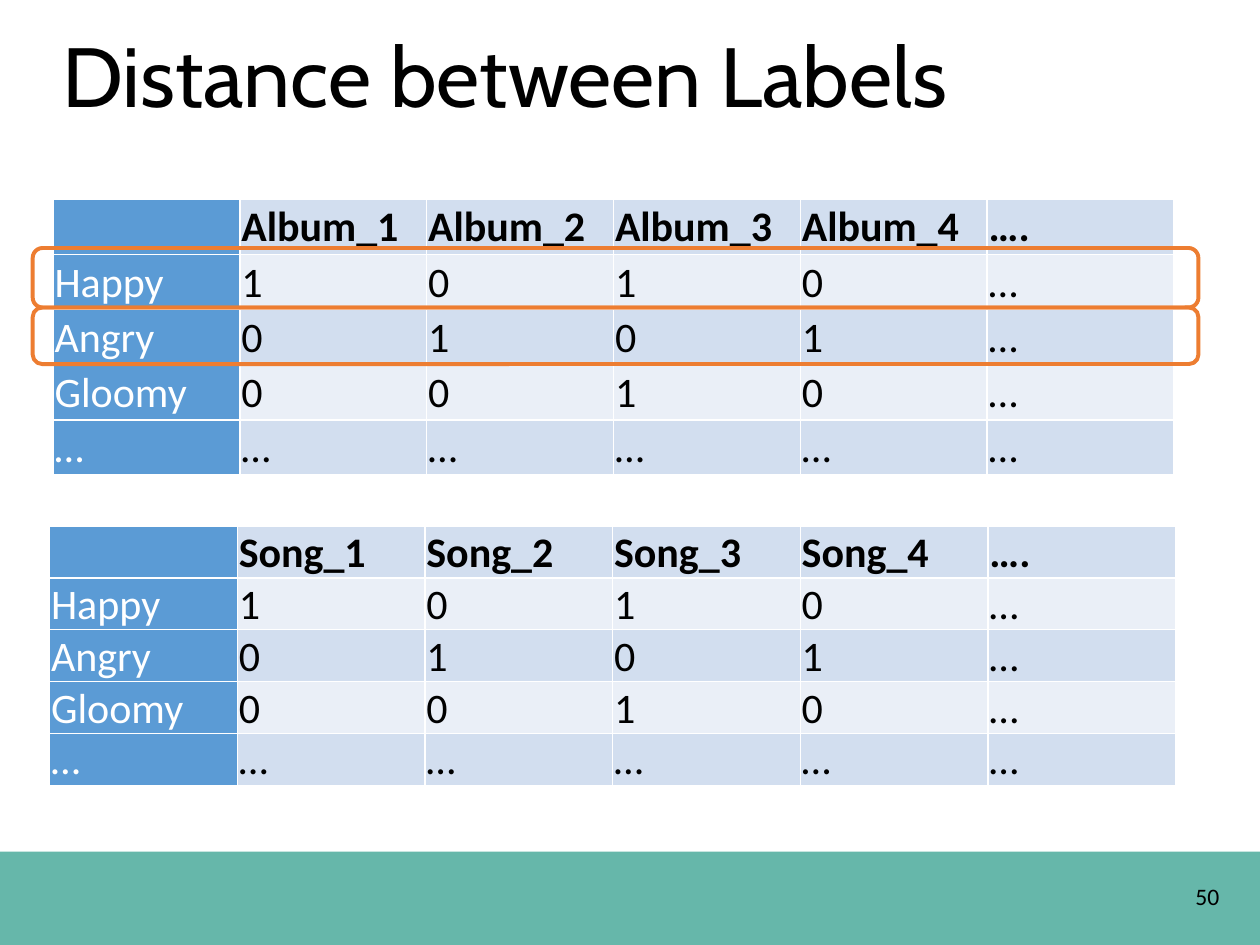
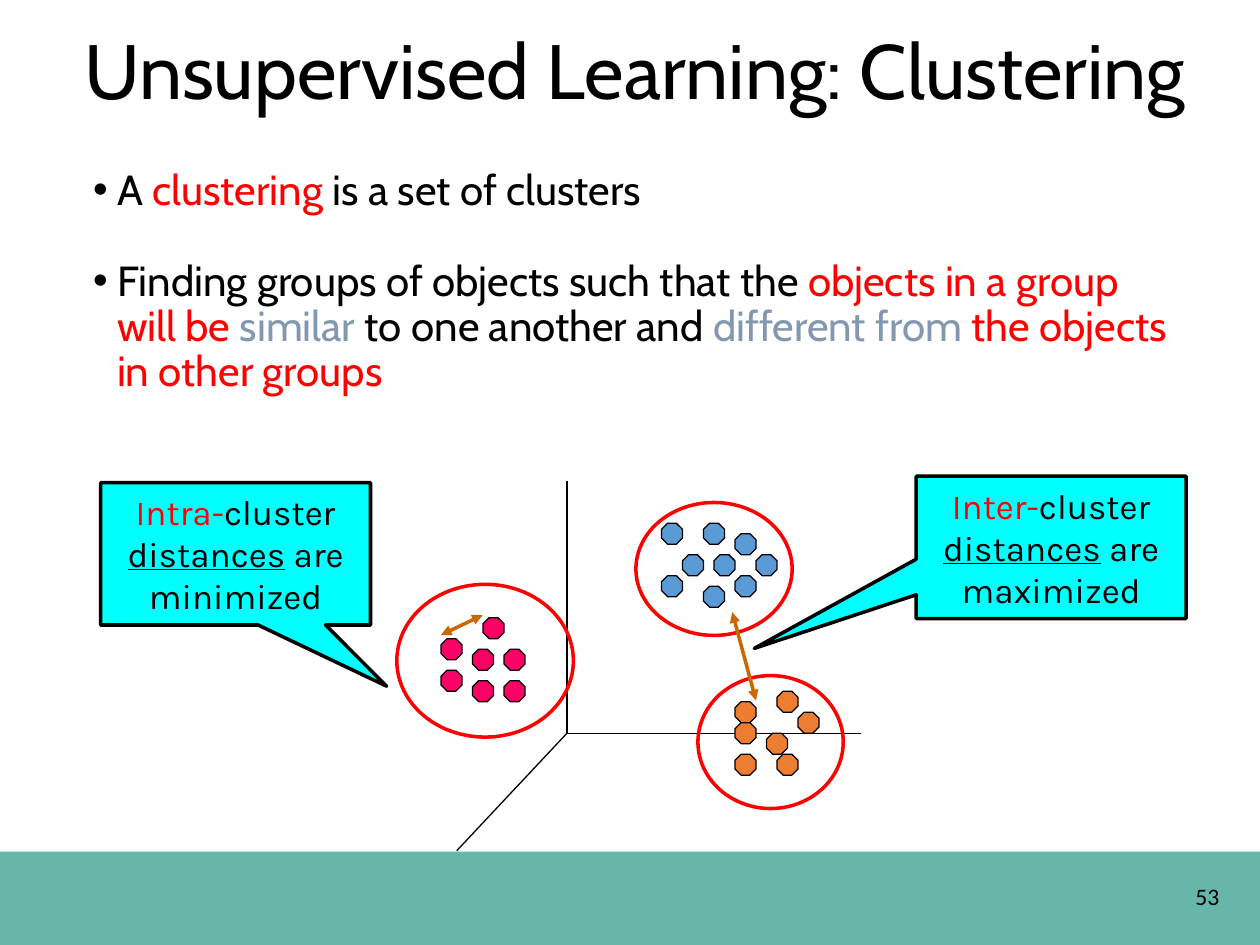
from dataclasses import dataclass
from itertools import product

from lxml.etree import SubElement
from pptx import Presentation
from pptx.dml.color import RGBColor
from pptx.enum.shapes import MSO_CONNECTOR, MSO_SHAPE as SHAPE
from pptx.enum.text import MSO_ANCHOR as ANCHOR, MSO_AUTO_SIZE, PP_ALIGN as ALIGN
from pptx.oxml.ns import qn
from pptx.util import Cm, Pt

COLORS = {
    "black": "000000", "white": "FFFFFF", "band": "319F8D",
    "header": "5B9BD5", "row_dark": "D2DEEF", "row_light": "EAEFF7",
    "orange": "ED7D31", "pink": "FF0066", "blue": "5B9BD5",
    "red": "FF0000", "slate": "8497B0", "arrow": "CC6600", "cyan": "00FFFF",
}
WIDTH, HEIGHT, BAND_TOP = 25.4, 19.05, 17.17
TITLE_FONT, TABLE_FONT, CALLOUT_FONT = "Cabin", "Calibri", "Karla"

# The scatter plot lies on a grid of twelfths of an inch around its axis origin.
ORIGIN_X, ORIGIN_Y, STEP = 11.43, 14.78, 2.54 / 12


@dataclass
class Box:
    x: float
    y: float
    w: float
    h: float

    def lengths(self) -> tuple:
        return Cm(self.x), Cm(self.y), Cm(self.w), Cm(self.h)


@dataclass
class LabelTable:
    box: Box
    item: str


@dataclass
class Cluster:
    color: str
    ring: Box
    dots: list


@dataclass
class Callout:
    box: Box
    tip: tuple
    prefix: str
    goal: str


LABEL_ROWS = [
    ("Happy", "1", "0", "1", "0", "…"),
    ("Angry", "0", "1", "0", "1", "…"),
    ("Gloomy", "0", "0", "1", "0", "…"),
    ("…",) * 6,
]
LABEL_TABLES = [
    LabelTable(Box(1.07, 4.02, 22.6, 5.56), "Album"),
    LabelTable(Box(1, 10.6, 22.7, 5.21), "Song"),
]
HIGHLIGHTS = [Box(0.66, 5, 23.5, 1.2), Box(0.66, 6.2, 23.5, 1.14)]

CLUSTERS = [
    Cluster("blue", Box(12.82, 10.13, 3.15, 2.68),
            [(11, -17), (14, -17), (13, -20), (13, -14), (18, -17),
             (16, -19), (9, -20), (16, -15), (9, -15)]),
    Cluster("pink", Box(8, 11.78, 3.56, 3.08),
            [(-12, -9), (-9, -8), (-9, -5), (-6, -8), (-8, -11),
             (-6, -5), (-12, -6)]),
    Cluster("orange", Box(14.07, 13.62, 2.93, 2.68),
            [(16, -3), (22, -2), (19, 0), (16, 2), (20, 2), (16, -1), (20, -4)]),
]
AXIS_ENDS = [(0, -24), (28, 0), (-10.5, 11.2)]
DISTANCE_ARROWS = [((15.24, 14.12), (14.76, 12.34)), ((8.89, 12.8), (9.73, 12.4))]
CALLOUTS = [
    Callout(Box(18.47, 9.6, 5.44, 2.87), (-1.1, 0.71), "Inter-", "maximized"),
    Callout(Box(2.03, 9.73, 5.44, 2.87), (0.56, 0.93), "Intra-", "minimized"),
]
BULLETS = [
    [("A ", "black"), ("clustering", "red"), (" is a set of clusters", "black")],
    [("Finding groups of objects such that the ", "black"),
     ("objects in a group will be ", "red"), ("similar ", "slate"),
     ("to one another and ", "black"), ("different from ", "slate"),
     ("the objects in other groups", "red")],
]


def rgb(name: str) -> RGBColor:
    return RGBColor.from_string(COLORS[name])


def add_run(p, text: str, *, font: str, size: float, color: str = "black",
            bold: bool = False, underline: bool = False) -> None:
    r = p.add_run()
    r.text = text
    r.font.name, r.font.size = font, Pt(size)
    r.font.bold, r.font.underline = bold, underline
    r.font.color.rgb = rgb(color)


def add_shape(s, kind, box: Box, fill: str = "", line: str = "", weight: float = 0):
    sp = s.shapes.add_shape(kind, *box.lengths())
    sp.shadow.inherit = False
    if fill:
        sp.fill.solid()
        sp.fill.fore_color.rgb = rgb(fill)
    else:
        sp.fill.background()
    if line:
        sp.line.color.rgb = rgb(line)
        sp.line.width = Pt(weight)
    else:
        sp.line.fill.background()
    return sp


def add_line(s, start: tuple, end: tuple, color: str, weight: float,
             arrows: bool = False) -> None:
    ends = [Cm(v) for v in (*start, *end)]
    cx = s.shapes.add_connector(MSO_CONNECTOR.STRAIGHT, *ends)
    cx.line.color.rgb = rgb(color)
    cx.line.width = Pt(weight)
    if arrows:
        for tag in ("a:headEnd", "a:tailEnd"):
            SubElement(cx.line._get_or_add_ln(), qn(tag), type="triangle")
    SubElement(cx._element.spPr, qn("a:effectLst"))


def add_text_box(s, box: Box):
    tf = s.shapes.add_textbox(*box.lengths()).text_frame
    tf.word_wrap = True
    return tf


def add_slide(prs, title: str, title_box: Box, title_size: float, number: int):
    """Add a slide with its title, bottom band and page number."""
    s = prs.slides.add_slide(prs.slide_layouts[5])
    sp = s.shapes.title
    sp.left, sp.top, sp.width, sp.height = title_box.lengths()
    tf = sp.text_frame
    tf.auto_size = MSO_AUTO_SIZE.NONE
    tf.vertical_anchor = ANCHOR.MIDDLE
    p = tf.paragraphs[0]
    p.alignment, p.line_spacing = ALIGN.LEFT, 0.9
    add_run(p, title, font=TITLE_FONT, size=title_size)

    band = add_shape(s, SHAPE.RECTANGLE,
                     Box(0, BAND_TOP, WIDTH, HEIGHT - BAND_TOP), fill="band")
    band_color = band._element.spPr.find(f"{qn('a:solidFill')}/{qn('a:srgbClr')}")
    SubElement(band_color, qn("a:alpha"), val="74000")

    tf = add_text_box(s, Box(23.85, 17.65, 1.55, 1.02))
    add_run(tf.paragraphs[0], str(number), font=TABLE_FONT, size=13.5)
    return s


def add_cell_borders(cell) -> None:
    for side in "LRTB":
        ln = SubElement(cell._tc.get_or_add_tcPr(), qn(f"a:ln{side}"), w=str(Pt(1)))
        SubElement(SubElement(ln, qn("a:solidFill")), qn("a:srgbClr"),
                   val=COLORS["white"])


def add_label_table(s, spec: LabelTable) -> None:
    header = ("", *(f"{spec.item}_{n}" for n in range(1, 5)), "….")
    rows = [header, *LABEL_ROWS]
    table = s.shapes.add_table(len(rows), len(header), *spec.box.lengths()).table
    table.first_row = table.horz_banding = False
    for i, j in product(range(len(rows)), range(len(header))):
        cell = table.cell(i, j)
        cell.margin_left = cell.margin_right = cell.margin_top = Cm(0.03)
        cell.margin_bottom = 0
        cell.vertical_anchor = ANCHOR.MIDDLE
        add_cell_borders(cell)
        cell.fill.solid()
        band = "row_light" if i % 2 else "row_dark"
        cell.fill.fore_color.rgb = rgb(band if j else "header")
        if rows[i][j]:
            add_run(cell.text_frame.paragraphs[0], rows[i][j], font=TABLE_FONT,
                    size=24, color="black" if j else "white", bold=i == 0)


def add_bullets(s, box: Box) -> None:
    tf = add_text_box(s, box)
    for i, runs in enumerate(BULLETS):
        p = tf.add_paragraph() if i else tf.paragraphs[0]
        pPr = p._p.get_or_add_pPr()
        pPr.set("marL", str(Cm(0.48)))
        pPr.set("indent", str(-Cm(0.48)))
        SubElement(pPr, qn("a:buFont"), typeface="Arial")
        SubElement(pPr, qn("a:buChar"), char="•")
        p.line_spacing = 0.9
        if i:
            p.space_before = Pt(26)
        for text, color in runs:
            add_run(p, text, font=TITLE_FONT, size=24, color=color)


def add_callout(s, spec: Callout) -> None:
    sp = add_shape(s, SHAPE.RECTANGULAR_CALLOUT, spec.box, "cyan", "black", 2)
    sp.adjustments[0], sp.adjustments[1] = spec.tip
    tf = sp.text_frame
    tf.word_wrap = True
    tf.vertical_anchor = ANCHOR.MIDDLE
    p = tf.paragraphs[0]
    p.alignment = ALIGN.CENTER
    style = {"font": CALLOUT_FONT, "size": 20}
    add_run(p, spec.prefix, color="red", **style)
    add_run(p, "cluster ", **style)
    add_run(p, "distances", underline=True, **style)
    add_run(p, f" are {spec.goal}", **style)


def on_grid(col: float, row: float) -> tuple:
    return ORIGIN_X + col * STEP, ORIGIN_Y + row * STEP


def add_label_slide(prs) -> None:
    s = add_slide(prs, "Distance between Labels", Box(1, -0.23, 21.9, 3.68), 48, 50)
    for spec in LABEL_TABLES:
        add_label_table(s, spec)
    for box in HIGHLIGHTS:
        add_shape(s, SHAPE.ROUNDED_RECTANGLE, box, line="orange", weight=2.25)


def add_clustering_slide(prs) -> None:
    s = add_slide(prs, "Unsupervised Learning: Clustering",
                  Box(1.45, 0.74, 23, 1.52), 44, 53)
    add_bullets(s, Box(1.63, 3.28, 22.23, 5.5))
    for end in AXIS_ENDS:
        add_line(s, on_grid(0, 0), on_grid(*end), "black", 0.75)
    for cluster in CLUSTERS:
        for dot in cluster.dots:
            add_shape(s, SHAPE.OCTAGON, Box(*on_grid(*dot), 2 * STEP, 2 * STEP),
                      cluster.color, "black", 0.75)
    for callout in CALLOUTS:
        add_callout(s, callout)
    for cluster in CLUSTERS:
        add_shape(s, SHAPE.OVAL, cluster.ring, line="red", weight=2)
    for start, end in DISTANCE_ARROWS:
        add_line(s, start, end, "arrow", 2, arrows=True)


def main() -> None:
    prs = Presentation()
    prs.slide_width, prs.slide_height = Cm(WIDTH), Cm(HEIGHT)
    add_label_slide(prs)
    add_clustering_slide(prs)
    prs.save("out.pptx")


if __name__ == "__main__":
    main()
